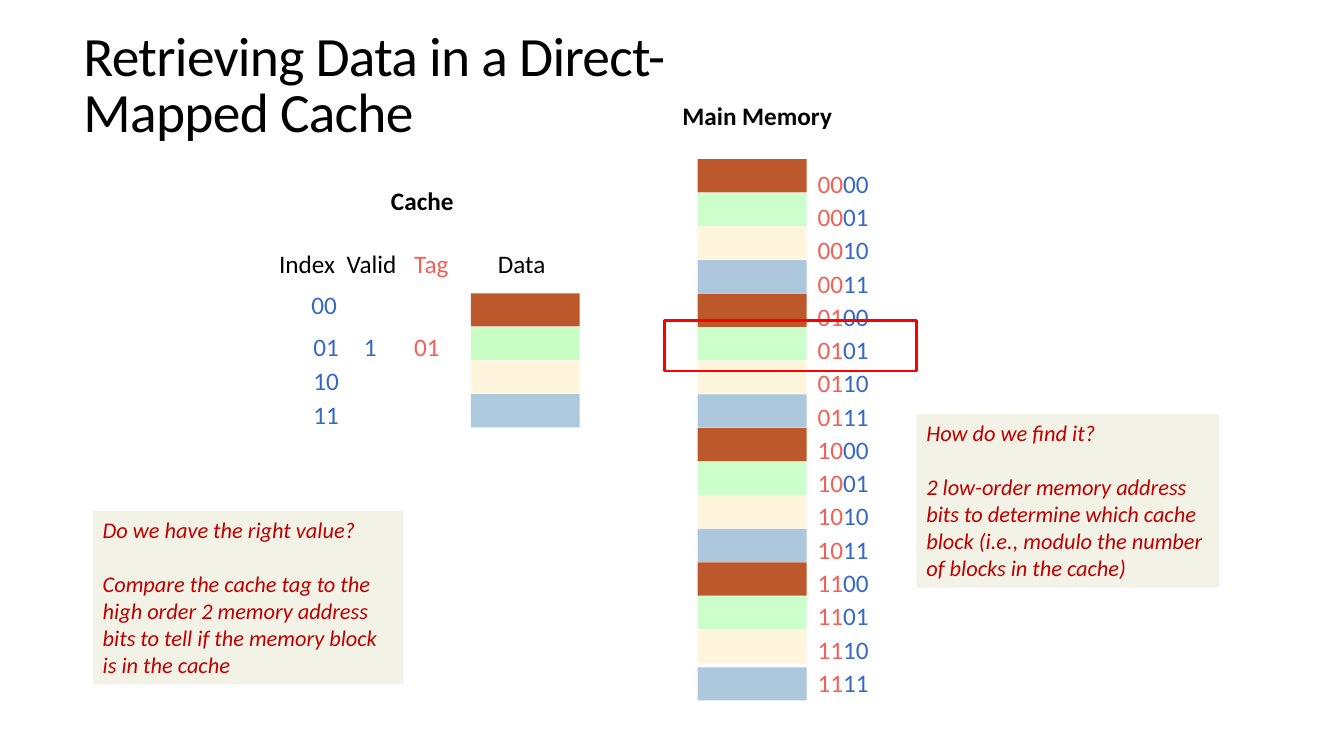
from dataclasses import dataclass

from pptx import Presentation
from pptx.dml.color import RGBColor
from pptx.enum import shapes, text
from pptx.util import Inches, Pt

BLACK = RGBColor(0x00, 0x00, 0x00)
INDEX_BLUE = RGBColor(0x35, 0x68, 0xC7)
TAG_RED = RGBColor(0xF0, 0x61, 0x57)
NOTE_RED = RGBColor(0xC0, 0x00, 0x00)
NOTE_FILL = RGBColor(0xF3, 0xF2, 0xE6)
HIGHLIGHT = RGBColor(0xFF, 0x00, 0x00)
BROWN = RGBColor(0xBD, 0x58, 0x2C)
MEMORY_COLORS = [BROWN, RGBColor(0xCC, 0xFF, 0xCC),
                 RGBColor(0xFF, 0xF5, 0xDC), RGBColor(0xAD, 0xC8, 0xDD)]
CACHE_COLORS = [BROWN, RGBColor(0xC9, 0xFF, 0xC4),
                RGBColor(0xFF, 0xF5, 0xDD), RGBColor(0xAD, 0xC9, 0xDD)]
FONT = "Calibri"
ROW = 1 / 3
BLOCK_WIDTH = 1.08
BLOCK_HEIGHT = 0.33


@dataclass
class Label:
    words: str
    left: float
    top: float
    width: float
    color: RGBColor = BLACK
    bold: bool = False
    wrap: bool = False


@dataclass
class Note:
    question: str
    answer: str
    left: float
    top: float
    width: float


LABELS = [
    Label("Cache", 3.78, 1.79, 0.83, bold=True),
    Label("Main Memory", 6.67, 0.95, 1.7, bold=True),
    Label("Index", 2.67, 2.41, 0.76),
    Label("Valid", 3.34, 2.41, 0.7),
    Label("Tag", 4.01, 2.41, 0.55, TAG_RED),
    Label("Data", 4.84, 2.41, 0.68),
    Label("00", 2.99, 2.82, 0.46, INDEX_BLUE),
    Label("01", 3.01, 3.24, 0.46, INDEX_BLUE),
    Label("10", 3.01, 3.58, 0.46, INDEX_BLUE),
    Label("11", 3.01, 3.91, 0.46, INDEX_BLUE),
    Label("1", 3.51, 3.24, 0.34, INDEX_BLUE, wrap=True),
    Label("01", 4.01, 3.24, 0.46, TAG_RED),
]
NOTES = [
    Note("How do we find it?",
         "2 low-order memory address bits to determine which cache block "
         "(i.e., modulo the number of blocks in the cache)", 9.09, 4.11, 3),
    Note("Do we have the right value?",
         "Compare the cache tag to the high order 2 memory address bits "
         "to tell if the memory block is in the cache", 0.92, 5.07, 3.08),
]


def style(run, size: float, color: RGBColor, bold: bool = False, italic: bool = False) -> None:
    run.font.name = FONT
    run.font.size = Pt(size)
    run.font.color.rgb = color
    run.font.bold = bold
    run.font.italic = italic


def add_box(slide, left: float, top: float, width: float, height: float):
    box = slide.shapes.add_textbox(Inches(left), Inches(top), Inches(width), Inches(height))
    box.text_frame.word_wrap = True
    return box


def add_rectangle(slide, left: float, top: float, width: float, height: float,
                  fill: RGBColor | None = None):
    rectangle = slide.shapes.add_shape(
        shapes.MSO_SHAPE.RECTANGLE, Inches(left), Inches(top), Inches(width), Inches(height))
    rectangle.shadow.inherit = False
    rectangle.line.fill.background()
    if fill is None:
        rectangle.fill.background()
    else:
        rectangle.fill.solid()
        rectangle.fill.fore_color.rgb = fill
    return rectangle


def add_title(slide) -> None:
    frame = add_box(slide, 0.73, 0.65, 6.9, 0.83).text_frame
    frame.vertical_anchor = text.MSO_ANCHOR.BOTTOM
    frame.text = "Retrieving Data in a Direct-Mapped Cache"
    heading = frame.paragraphs[0]
    heading.line_spacing = 0.85
    style(heading.runs[0], 39.6, BLACK)
    heading.runs[0].font._element.set("spc", "-50")


def add_label(slide, label: Label) -> None:
    frame = add_box(slide, label.left, label.top, label.width, 0.4).text_frame
    frame.word_wrap = label.wrap
    frame.auto_size = text.MSO_AUTO_SIZE.SHAPE_TO_FIT_TEXT
    frame.text = label.words
    style(frame.paragraphs[0].runs[0], 18, label.color, label.bold)


def add_note(slide, note: Note) -> None:
    frame = add_rectangle(slide, note.left, note.top, note.width, 1.72, NOTE_FILL).text_frame
    frame.word_wrap = True
    frame.vertical_anchor = text.MSO_ANCHOR.TOP
    frame.text = f"{note.question}\n{note.answer}"
    for paragraph in frame.paragraphs:
        paragraph.alignment = text.PP_ALIGN.LEFT
        style(paragraph.runs[0], 16, NOTE_RED, italic=True)
    frame.paragraphs[1].space_before = Pt(19.5)


def add_blocks(slide, left: float, top: float, colors: list[RGBColor]) -> list:
    return [add_rectangle(slide, left, top + row * ROW, BLOCK_WIDTH, BLOCK_HEIGHT, color)
            for row, color in enumerate(colors)]


def add_addresses(slide) -> None:
    frame = add_box(slide, 8.01, 1.59, BLOCK_WIDTH, 5.43).text_frame
    for address in range(16):
        paragraph = frame.add_paragraph() if address else frame.paragraphs[0]
        paragraph.line_spacing = 1.1
        for bits, color in ((address // 4, TAG_RED), (address % 4, INDEX_BLUE)):
            run = paragraph.add_run()
            run.text = f"{bits:02b}"
            style(run, 18, color)


def main() -> None:
    deck = Presentation()
    deck.slide_width, deck.slide_height = Inches(13.33), Inches(7.5)
    slide = deck.slides.add_slide(deck.slide_layouts[6])
    add_title(slide)
    add_blocks(slide, 4.67, 2.91, CACHE_COLORS)
    memory = add_blocks(slide, 6.92, 1.58, MEMORY_COLORS * 4)
    memory[-1].top = Inches(6.62)
    add_addresses(slide)
    for label in LABELS:
        add_label(slide, label)
    for note in NOTES:
        add_note(slide, note)
    highlight = add_rectangle(slide, 6.59, 3.18, 2.5, 0.5)
    highlight.line.color.rgb = HIGHLIGHT
    highlight.line.width = Pt(1.75)
    deck.save("out.pptx")


if __name__ == "__main__":
    main()
